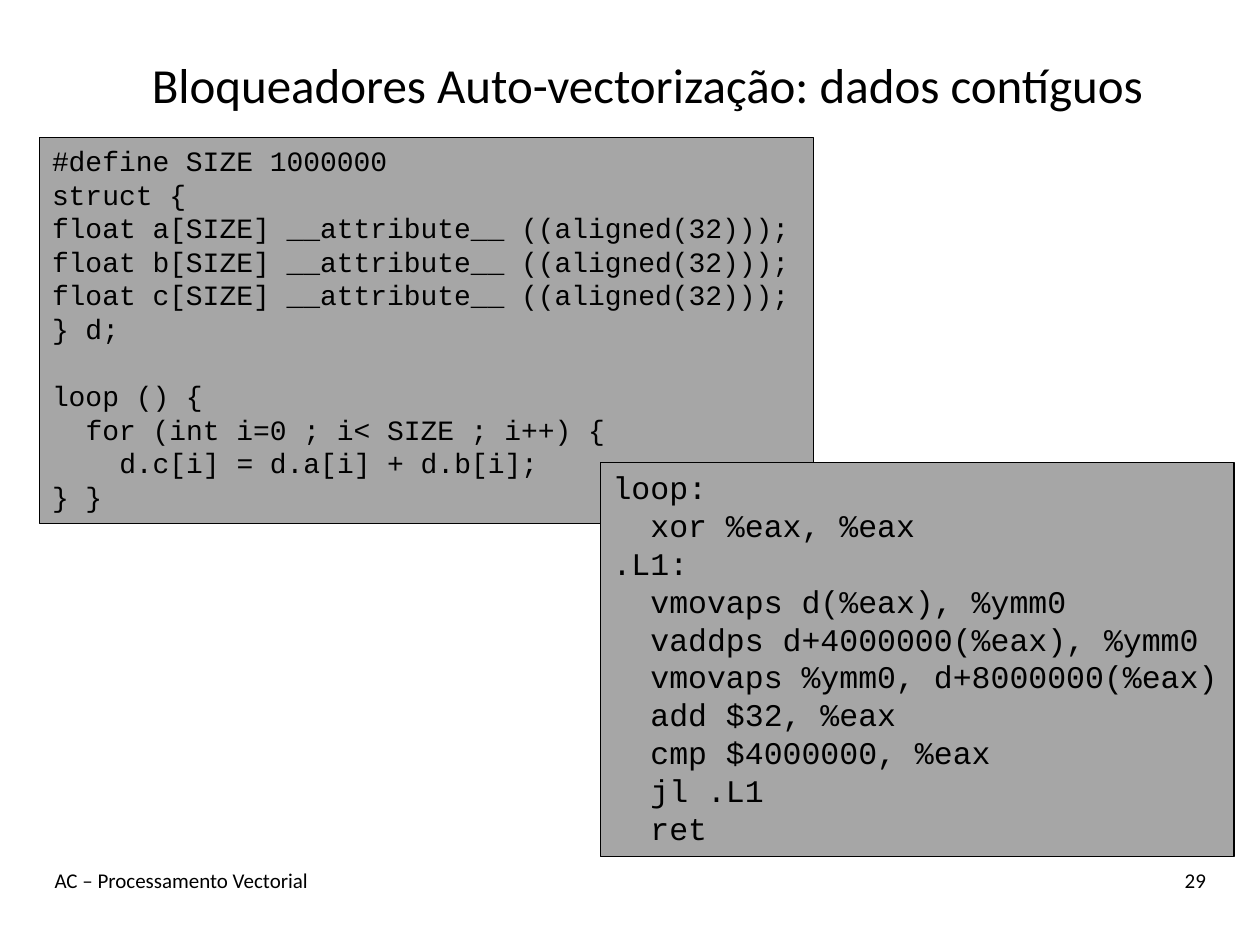
from pptx import Presentation
from pptx.dml.color import RGBColor
from pptx.enum.shapes import MSO_SHAPE
from pptx.enum.text import MSO_ANCHOR, PP_ALIGN
from pptx.util import Cm, Pt

RECTANGLE = MSO_SHAPE.RECTANGLE
TOP, MIDDLE = MSO_ANCHOR.TOP, MSO_ANCHOR.MIDDLE
LEFT, CENTER, RIGHT = PP_ALIGN.LEFT, PP_ALIGN.CENTER, PP_ALIGN.RIGHT
BLACK, GREY = "000000", "A6A6A6"
TEXT_FONT, CODE_FONT = "Calibri", "Courier New"
BLANK_LAYOUT = 6
CHARACTER_WIDTH = 0.6  # advance of the monospaced font, in ems
LINE_HEIGHT = 1.2

# Each line is (indent in characters, text); None is an empty line.
ARRAYS = [(0, f"float {name}[SIZE] __attribute__ ((aligned(32)));") for name in "abc"]
C_CODE = [
    (0, "#define SIZE 1000000"),
    (0, "struct {"),
    *ARRAYS,
    (0, "} d;"),
    None,
    (0, "loop () {"),
    (2, "for (int i=0 ; i< SIZE ; i++) {"),
    (4, "d.c[i] = d.a[i] + d.b[i];"),
    (0, "} }"),
]
ASSEMBLY_CODE = [
    (0, "loop:"),
    (2, "xor %eax, %eax"),
    (0, ".L1:"),
    (2, "vmovaps d(%eax), %ymm0"),
    (2, "vaddps d+4000000(%eax), %ymm0"),
    (2, "vmovaps %ymm0, d+8000000(%eax)"),
    (2, "add $32, %eax"),
    (2, "cmp $4000000, %eax"),
    (2, "jl .L1"),
    (2, "ret"),
]


def color(value):
    """Return the colour for a hex string."""
    return RGBColor.from_string(value)


def add_run(paragraph, text, size, font_name):
    """Add one black run to a paragraph."""
    run = paragraph.add_run()
    run.text = text
    run.font.size = Pt(size)
    run.font.name = font_name
    run.font.color.rgb = color(BLACK)


def add_label(slide, position, text, size, alignment=LEFT, anchor=TOP):
    """Add a text box with a single line."""
    frame = slide.shapes.add_textbox(*map(Cm, position)).text_frame
    frame.word_wrap = True
    frame.vertical_anchor = anchor
    paragraph = frame.paragraphs[0]
    paragraph.alignment = alignment
    add_run(paragraph, text, size, TEXT_FONT)


def add_code_box(slide, position, lines, size):
    """Add a grey box with indented lines of code."""
    shape = slide.shapes.add_shape(RECTANGLE, *map(Cm, position))
    shape.shadow.inherit = False
    shape.fill.solid()
    shape.fill.fore_color.rgb = color(GREY)
    shape.line.color.rgb = color(BLACK)
    shape.line.width = Pt(0.75)
    frame = shape.text_frame
    frame.word_wrap = True
    frame.vertical_anchor = TOP
    paragraph = frame.paragraphs[0]
    gap = 0
    for line in lines:
        if line is None:
            gap += size * LINE_HEIGHT
            continue
        indent, text = line
        if paragraph.runs:
            paragraph = frame.add_paragraph()
        paragraph.alignment = LEFT
        paragraph.space_before = Pt(gap)
        properties = paragraph._p.get_or_add_pPr()
        properties.set("marL", str(Pt(indent * CHARACTER_WIDTH * size)))
        properties.set("indent", "0")
        add_run(paragraph, text, size, CODE_FONT)
        gap = 0


def main():
    """Build the slide and save it."""
    presentation = Presentation()
    presentation.slide_width = Cm(25.4)
    presentation.slide_height = Cm(19.05)
    slide = presentation.slides.add_slide(presentation.slide_layouts[BLANK_LAYOUT])
    add_label(slide, (0.85, 17.36, 17.78, 1.27), "AC – Processamento Vectorial", 12)
    add_label(slide, (21.17, 17.36, 3.39, 1.27), "29", 12, RIGHT)
    add_code_box(slide, (0.8, 2.77, 15.6, 7.78), C_CODE, 16)
    add_code_box(slide, (12.1, 9.32, 12.78, 7.95), ASSEMBLY_CODE, 18)
    add_label(slide, (1.2, 0.53, 23.7, 2.34),
              "Bloqueadores Auto-vectorização: dados contíguos", 28, CENTER, MIDDLE)
    presentation.save("out.pptx")


main()
